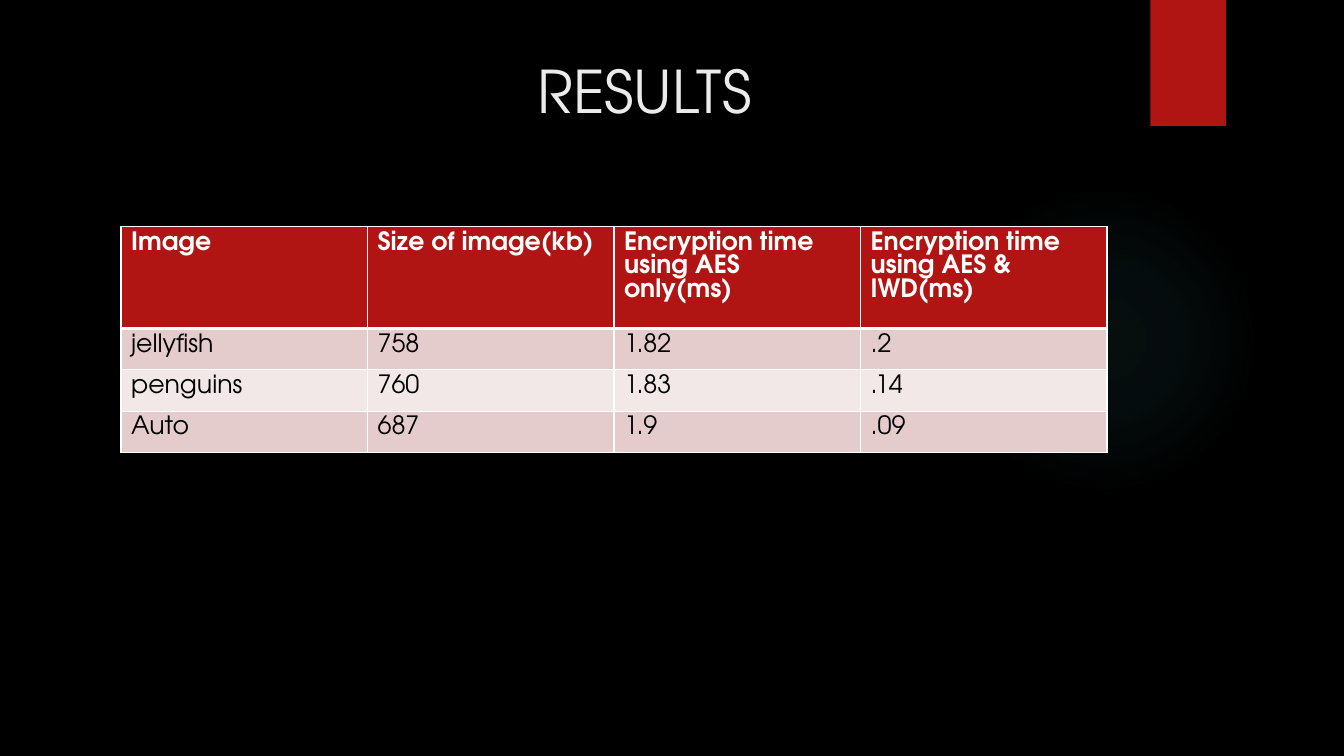
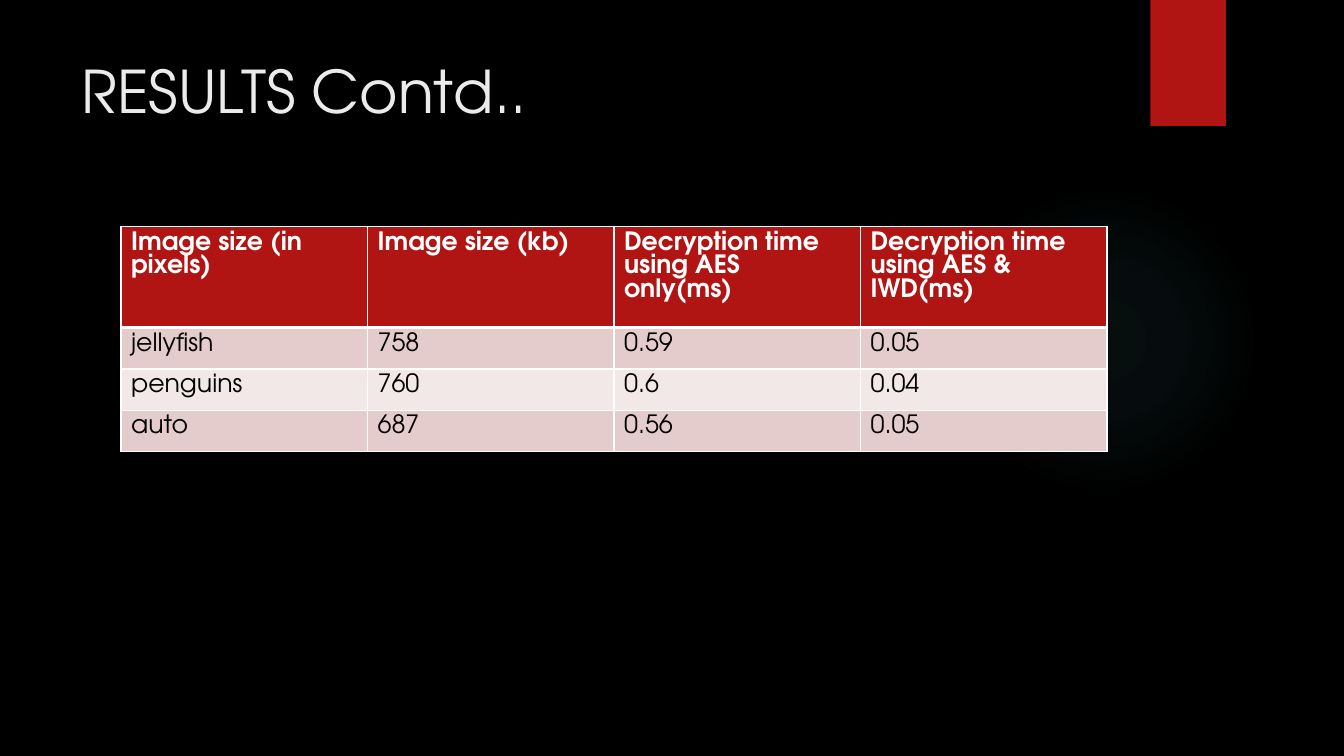
from lxml.etree import SubElement
from pptx import Presentation
from pptx.dml.color import RGBColor
from pptx.enum.shapes import MSO_SHAPE
from pptx.oxml import parse_xml
from pptx.oxml.ns import nsdecls, qn
from pptx.util import Inches, Pt

FONT = "TeX Gyre Adventor"
BLACK = RGBColor(0x00, 0x00, 0x00)
WHITE = RGBColor(0xFF, 0xFF, 0xFF)
TITLE_GREY = RGBColor(0xEB, 0xEB, 0xEB)
RED = RGBColor(0xB0, 0x15, 0x13)
ROW_FILLS = [RGBColor(0xE4, 0xCC, 0xCC), RGBColor(0xF2, 0xE8, 0xE7)]
GLOW = RGBColor(0x50, 0xB9, 0xC1)
GLOW_STOPS = [(0, 7), (36, 6), (69, 0)]

TABLE_WIDTH = 9.78
ROW_HEIGHT = 0.41

RESULTS = [
    {
        "title": "RESULTS",
        "title_indent": 4.62,
        "header_height": 1.01,
        "rows": [
            ("Image", "Size of image(kb)", "Encryption time using AES only(ms)",
             "Encryption time using AES & IWD(ms)"),
            ("jellyfish", "758", "1.82", ".2"),
            ("penguins", "760", "1.83", ".14"),
            ("Auto", "687", "1.9", ".09"),
        ],
    },
    {
        "title": "RESULTS Contd..",
        "title_indent": 0.1,
        "header_height": 0.78,
        "rows": [
            ("Image size (in pixels)", "Image size (kb)",
             "Decryption time using AES only(ms)",
             "Decryption time using AES & IWD(ms)"),
            ("jellyfish", "758", "0.59", "0.05"),
            ("penguins", "760", "0.6", "0.04"),
            ("auto", "687", "0.56", "0.05"),
        ],
    },
]


def style_paragraph(paragraph, size, color, bold=False):
    paragraph.font.name = FONT
    paragraph.font.size = Pt(size)
    paragraph.font.color.rgb = color
    paragraph.font.bold = bold


def add_plain_shape(page, preset, left, top, width, height, color):
    shape = page.shapes.add_shape(
        preset, Inches(left), Inches(top), Inches(width), Inches(height))
    shape.shadow.inherit = False
    shape.fill.solid()
    shape.fill.fore_color.rgb = color
    shape.line.fill.background()
    return shape


def add_glow(page):
    glow = add_plain_shape(page, MSO_SHAPE.OVAL, 9.41, 1.83, 3.08, 3.08, GLOW)
    stops = "".join(
        f'<a:gs pos="{position * 1000}"><a:srgbClr val="{GLOW}">'
        f'<a:alpha val="{opacity * 1000}"/></a:srgbClr></a:gs>'
        for position, opacity in GLOW_STOPS)
    gradient = parse_xml(
        f'<a:gradFill {nsdecls("a")}><a:gsLst>{stops}</a:gsLst>'
        '<a:path path="circle"><a:fillToRect l="50000" t="50000" '
        'r="50000" b="50000"/></a:path></a:gradFill>')
    properties = glow._element.spPr
    properties.replace(properties.find(qn("a:solidFill")), gradient)


def add_title(page, text, indent):
    box = page.shapes.add_textbox(
        Inches(0.71), Inches(0.49), Inches(10.29), Inches(1.53))
    frame = box.text_frame
    frame.word_wrap = True
    frame.margin_left = Inches(indent)
    frame.text = text
    style_paragraph(frame.paragraphs[0], 42, TITLE_GREY)


def set_borders(cell, widths):
    properties = cell._tc.get_or_add_tcPr()
    for index, (side, width) in enumerate(widths.items()):
        border = parse_xml(
            f'<a:{side} {nsdecls("a")} w="{Pt(width)}"><a:solidFill/></a:{side}>')
        SubElement(border[0], qn("a:srgbClr"), val=str(WHITE))
        properties.insert(index, border)


def add_results_table(page, rows, header_height):
    heights = [header_height] + [ROW_HEIGHT] * (len(rows) - 1)
    table = page.shapes.add_table(
        len(rows), len(rows[0]), Inches(1.2), Inches(2.25),
        Inches(TABLE_WIDTH), Inches(sum(heights))).table
    for row_index, values in enumerate(rows):
        header = row_index == 0
        table.rows[row_index].height = Inches(heights[row_index])
        for column_index, value in enumerate(values):
            cell = table.cell(row_index, column_index)
            cell.text = value
            style_paragraph(cell.text_frame.paragraphs[0], 18,
                            WHITE if header else BLACK, header)
            cell.fill.solid()
            cell.fill.fore_color.rgb = RED if header else ROW_FILLS[(row_index - 1) % 2]
            set_borders(cell, {"lnL": 1, "lnR": 1,
                               "lnT": 3 if row_index == 1 else 1,
                               "lnB": 3 if header else 1})


def add_results_page(deck, result):
    page = deck.slides.add_slide(deck.slide_layouts[6])
    page.background.fill.solid()
    page.background.fill.fore_color.rgb = BLACK
    add_glow(page)
    add_plain_shape(page, MSO_SHAPE.RECTANGLE, 11.41, 0, 0.75, 1.25, RED)
    add_title(page, result["title"], result["title_indent"])
    add_results_table(page, result["rows"], result["header_height"])


def main():
    deck = Presentation()
    deck.slide_width = Inches(13.33)
    deck.slide_height = Inches(7.5)
    for result in RESULTS:
        add_results_page(deck, result)
    deck.save("out.pptx")


if __name__ == "__main__":
    main()
